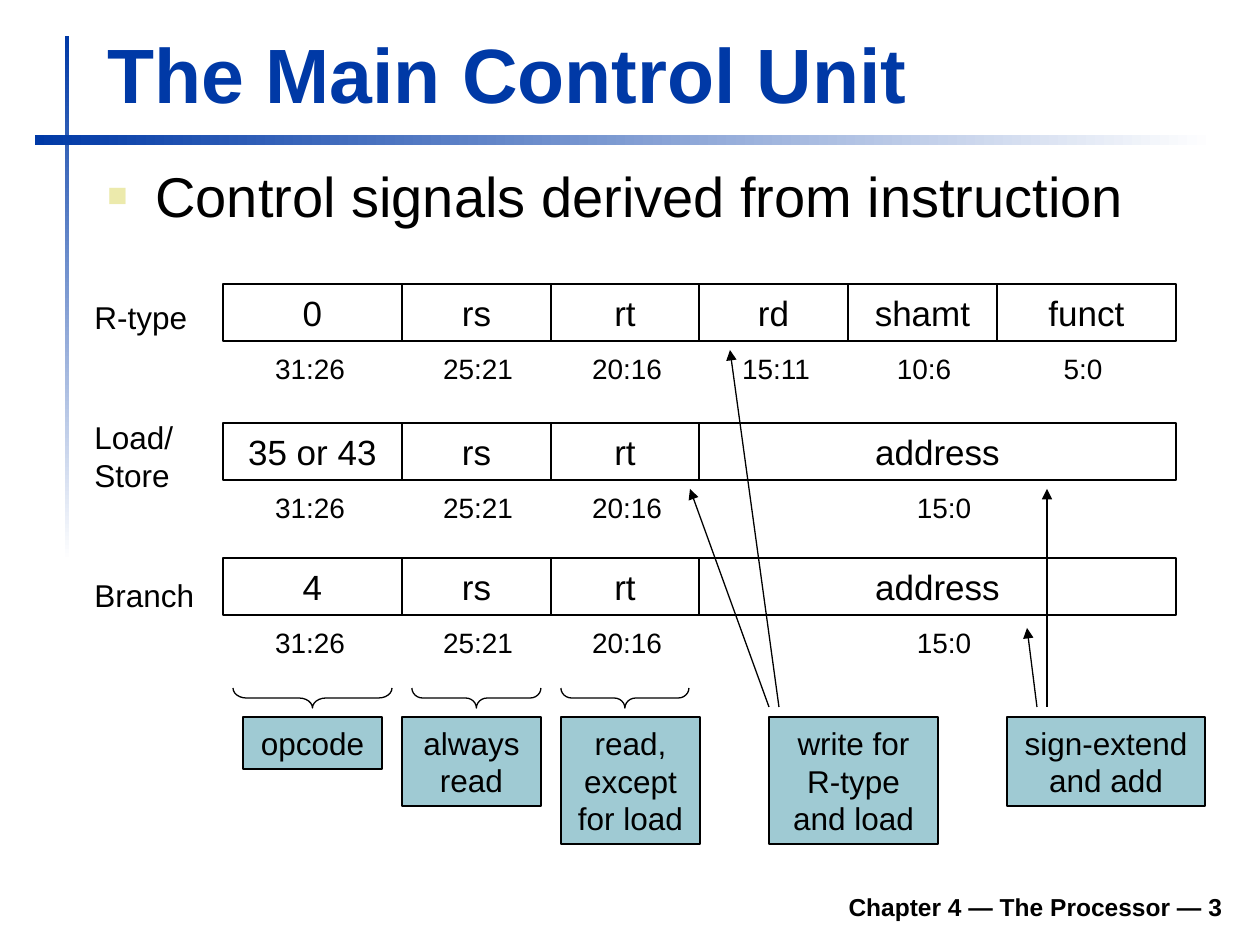
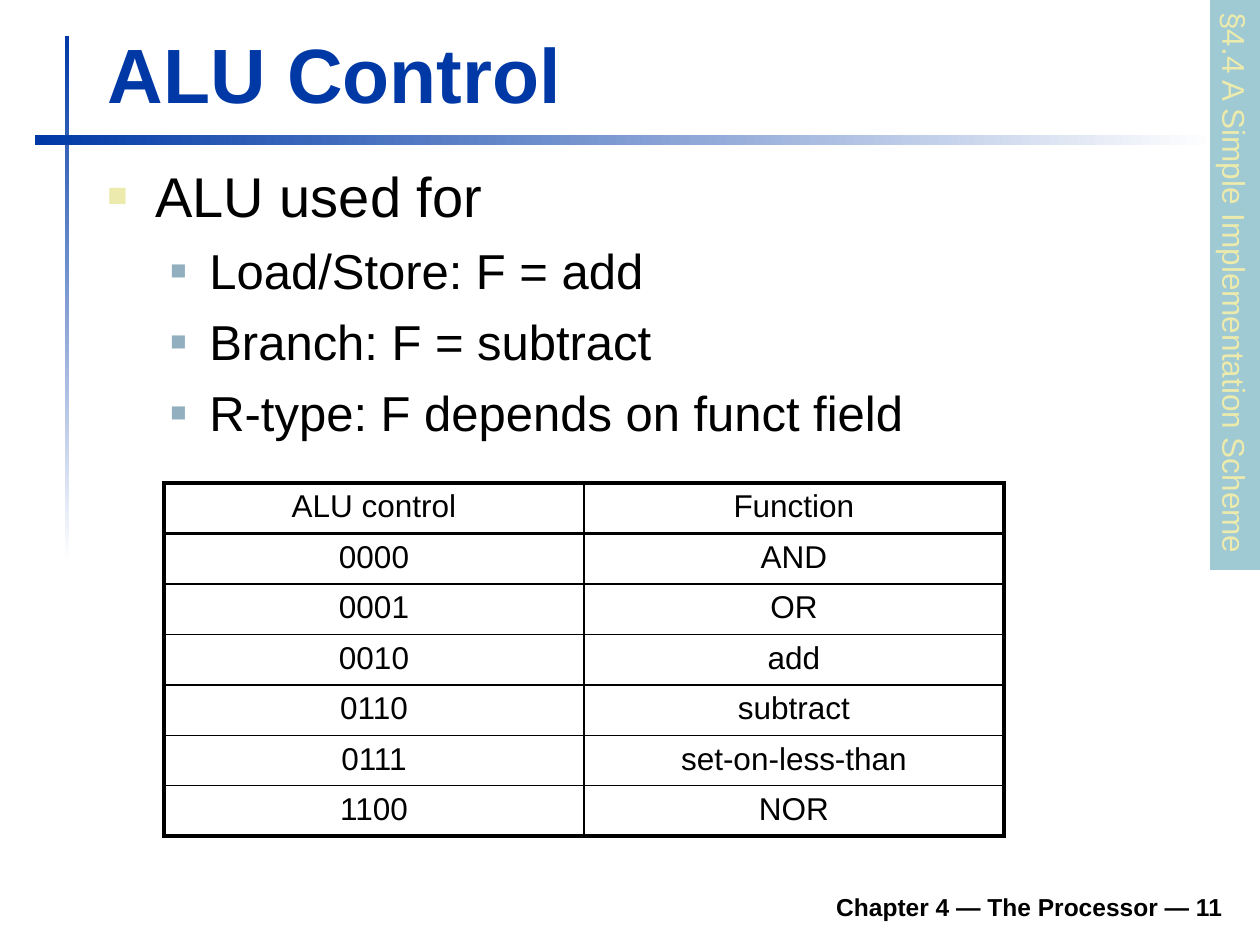
import pptx
import pptx.util
import pptx.dml.color
import pptx.enum.shapes
import pptx.enum.text
import pptx.oxml.ns
from lxml import etree

RGBColor = pptx.dml.color.RGBColor
Pt = pptx.util.Pt
Shape = pptx.enum.shapes.MSO_SHAPE
Align = pptx.enum.text.PP_ALIGN
Anchor = pptx.enum.text.MSO_ANCHOR
qn = pptx.oxml.ns.qn

BLUE = RGBColor(0x00, 0x39, 0xA6)
WHITE = RGBColor(0xFF, 0xFF, 0xFF)
BLACK = RGBColor(0x00, 0x00, 0x00)
TEAL = RGBColor(0x9F, 0xCA, 0xD3)
CREAM = RGBColor(0xEC, 0xEA, 0xAC)
STEEL = RGBColor(0x91, 0xAF, 0xBF)
FONT = "Arial"
PX_PER_INCH = 126

WORD_LEFT, WORD_WIDTH, WORD_BITS = 223, 953, 32
FIELD_HEIGHT = 57
RANGE_CENTERS = {"31:26": 310, "25:21": 478, "20:16": 627, "15:11": 776,
                 "10:6": 924, "5:0": 1083, "15:0": 944}
BULLETS = [
    {"size": 32, "color": CREAM, "scale": 60, "margin": 48, "hang": 48, "before": 3.6},
    {"size": 28, "color": STEEL, "scale": 55, "margin": 102, "hang": 39, "before": 7},
]


def px(length):
    return round(length * 914400 / PX_PER_INCH)


def area(left, top, width, height):
    return px(left), px(top), px(width), px(height)


def add_text(para, text, size, color=BLACK, bold=False, align=Align.LEFT):
    para.alignment = align
    for index, line in enumerate(text.split("\n")):
        if index:
            para.add_line_break()
        span = para.add_run()
        span.text = line
        span.font.name = FONT
        span.font.size = Pt(size)
        span.font.bold = bold
        span.font.color.rgb = color


def add_label(page, at, text, size, bold=False, align=Align.LEFT, anchor=Anchor.MIDDLE):
    frame = page.shapes.add_textbox(*area(*at)).text_frame
    frame.word_wrap = True
    frame.vertical_anchor = anchor
    add_text(frame.paragraphs[0], text, size, bold=bold, align=align)


def add_preset(page, kind, at, fill=None, line=None):
    shape = page.shapes.add_shape(kind, *area(*at))
    shape.shadow.inherit = False
    if fill is None:
        shape.fill.background()
    else:
        shape.fill.solid()
        shape.fill.fore_color.rgb = fill
    if line is None:
        shape.line.fill.background()
    else:
        shape.line.color.rgb = BLACK
        shape.line.width = Pt(line)
    return shape


def add_box(page, at, text, size, fill=None, line=0.75):
    box = add_preset(page, Shape.RECTANGLE, at, fill, line)
    box.text_frame.word_wrap = True
    add_text(box.text_frame.paragraphs[0], text, size, align=Align.CENTER)


def add_band(page, at, angle):
    band = add_preset(page, Shape.RECTANGLE, at)
    band.fill.gradient()
    band.fill.gradient_angle = angle
    for stop, color in zip(band.fill.gradient_stops, (BLUE, WHITE)):
        stop.color.rgb = color


def add_page(deck, title, number):
    page = deck.slides.add_slide(deck.slide_layouts[5])
    add_band(page, (65, 36, 4, 525), 270)
    add_band(page, (35, 135, 1180, 10), 0)
    add_label(page, (233, 879, 1002, 49), f"Chapter 4 — The Processor — {number}",
              14, bold=True, align=Align.RIGHT, anchor=Anchor.BOTTOM)
    heading = page.shapes.title
    heading.left, heading.top, heading.width, heading.height = area(95, 20, 1138, 105)
    frame = heading.text_frame
    frame.auto_size = pptx.enum.text.MSO_AUTO_SIZE.NONE
    frame.vertical_anchor = Anchor.BOTTOM
    add_text(frame.paragraphs[0], title, 44, BLUE, bold=True)
    return page


def add_bullets(page, height, items):
    frame = page.shapes.add_textbox(*area(95, 155, 1140, height)).text_frame
    frame.word_wrap = True
    for index, (level, text) in enumerate(items):
        para = frame.add_paragraph() if index else frame.paragraphs[0]
        style = BULLETS[level]
        add_text(para, text, style["size"])
        para.level = level
        para.space_before = Pt(style["before"])
        props = para._p.get_or_add_pPr()
        props.set("marL", str(px(style["margin"])))
        props.set("indent", str(-px(style["hang"])))
        color = etree.SubElement(props, qn("a:buClr"))
        etree.SubElement(color, qn("a:srgbClr"), val=str(style["color"]))
        etree.SubElement(props, qn("a:buSzPct"), val=str(style["scale"] * 1000))
        etree.SubElement(props, qn("a:buFont"), typeface=FONT)
        etree.SubElement(props, qn("a:buChar"), char="■")


def field_span(bits):
    high, low = map(int, bits.split(":"))
    left, right = (WORD_LEFT + round(WORD_WIDTH * (WORD_BITS - bit) / WORD_BITS)
                   for bit in (high + 1, low))
    return left, right - left


def add_instruction(page, top, fields):
    for text, bits in fields:
        left, width = field_span(bits)
        add_box(page, (left, top, width, FIELD_HEIGHT), text, 20, line=1.5)
        add_label(page, (RANGE_CENTERS[bits] - 48, top + 61, 96, 46), bits, 16,
                  align=Align.CENTER)


def add_brace(page, bits, curve):
    left, width = field_span(bits)
    length, depth, inset = width - 20, 20, 10
    shift = (length - depth) / 2
    brace = add_preset(page, Shape.LEFT_BRACE,
                       (left + inset + shift, 688 - shift, depth, length), line=0.75)
    brace.rotation = 270
    brace.adjustments[0] = curve


def add_arrow(page, start, end):
    arrow = page.shapes.add_connector(pptx.enum.shapes.MSO_CONNECTOR.STRAIGHT,
                                      *map(px, start + end))
    arrow.line.color.rgb = BLACK
    arrow.line.width = Pt(0.75)
    props = arrow.element.spPr
    etree.SubElement(props.find(qn("a:ln")), qn("a:tailEnd"), type="triangle")
    etree.SubElement(props, qn("a:effectLst"))


def add_section_tab(page, text):
    tab = add_preset(page, Shape.RECTANGLE, (950, 260, 570, 50), TEAL)
    tab.rotation = 90
    tab.text_frame.word_wrap = False
    add_text(tab.text_frame.paragraphs[0], text, 18, CREAM)


def set_borders(cell, widths):
    props = cell._tc.get_or_add_tcPr()
    for index, (side, width) in enumerate(zip("LRTB", widths)):
        border = etree.Element(qn(f"a:ln{side}"), w=str(Pt(width)))
        fill = etree.SubElement(border, qn("a:solidFill"))
        etree.SubElement(fill, qn("a:srgbClr"), val=str(BLACK))
        props.insert(index, border)


def add_grid(page, at, rows):
    count, columns = len(rows), len(rows[0])
    table = page.shapes.add_table(count, columns, *area(*at)).table
    table.first_row = table.horz_banding = False
    across = [2.25] + [1] * (columns - 1) + [2.25]
    down = [2.25, 1.5] + [1] * (count - 2) + [2.25]
    for r, row in enumerate(rows):
        for c, text in enumerate(row):
            cell = table.cell(r, c)
            cell.fill.background()
            add_text(cell.text_frame.paragraphs[0], text, 18, align=Align.CENTER)
            set_borders(cell, (across[c], across[c + 1], down[r], down[r + 1]))


def build_main_control(deck):
    page = add_page(deck, "The Main Control Unit", 3)
    add_bullets(page, 96, [(0, "Control signals derived from instruction")])

    registers = [("rs", "25:21"), ("rt", "20:16")]
    address = [("address", "15:0")]
    r_fields = [("rd", "15:11"), ("shamt", "10:6"), ("funct", "5:0")]
    for name, label_top, label_height, top, opcode, rest in (
            ("R-type", 292, 50, 284, "0", r_fields),
            ("Load/\nStore", 412, 88, 423, "35 or 43", address),
            ("Branch", 570, 50, 558, "4", address)):
        add_instruction(page, top, [(opcode, "31:26")] + registers + rest)
        add_label(page, (82, label_top, 130, label_height), name, 18)

    for bits, curve in (("31:26", 0.67), ("25:21", 0.54), ("20:16", 0.54)):
        add_brace(page, bits, curve)
    for left, width, height, text in (
            (243, 139, 52, "opcode"),
            (402, 139, 89, "always read"),
            (561, 139, 127, "read, except for load"),
            (769, 169, 127, "write for R-type and load"),
            (1007, 198, 89, "sign-extend and add")):
        add_box(page, (left, 717, width, height), text, 18, TEAL)
    for start_x, end in ((769, (690, 489)), (779, (730, 350)),
                         (1037, (1027, 628)), (1047, (1047, 489))):
        add_arrow(page, (start_x, 707), end)


def build_alu_control(deck):
    page = add_page(deck, "ALU Control", 11)
    add_bullets(page, 328, [
        (0, "ALU used for"),
        (1, "Load/Store: F = add"),
        (1, "Branch: F = subtract"),
        (1, "R-type: F depends on funct field"),
    ])
    add_section_tab(page, "§4.4 A Simple Implementation Scheme")
    add_grid(page, (164, 483, 840, 353), [
        ("ALU control", "Function"),
        ("0000", "AND"),
        ("0001", "OR"),
        ("0010", "add"),
        ("0110", "subtract"),
        ("0111", "set-on-less-than"),
        ("1100", "NOR"),
    ])


def main():
    deck = pptx.Presentation()
    deck.slide_width, deck.slide_height = px(1260), px(945)
    build_main_control(deck)
    build_alu_control(deck)
    deck.save("out.pptx")


if __name__ == "__main__":
    main()
